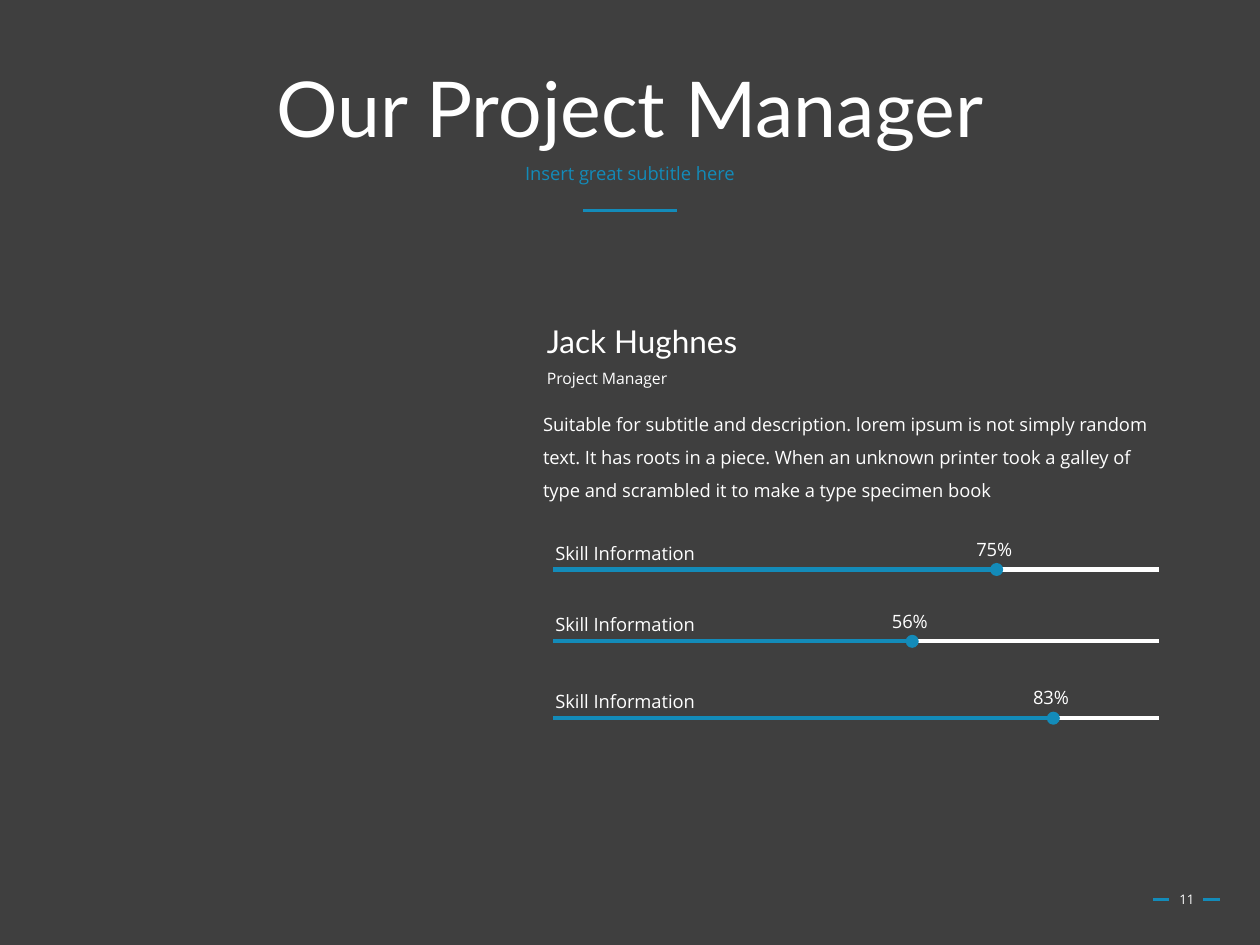
from lxml import etree
from pptx import Presentation
from pptx.dml.color import RGBColor
from pptx.enum.shapes import MSO_CONNECTOR
from pptx.enum.text import MSO_ANCHOR, MSO_AUTO_SIZE, PP_ALIGN
from pptx.oxml.ns import qn
from pptx.util import Inches, Pt

COLORS = {"background": "3F3F3F", "accent": "138BB9", "text": "FFFFFF"}
HEADING_FONT, BODY_FONT = "Lato", "Open Sans"
BAR_LEFT, BAR_RIGHT = 4.39, 9.2
TEXT_LEFT = 4.31
SKILLS = [
    ("Skill Information", "75%", 4.52, 7.91),
    ("Skill Information", "56%", 5.09, 7.24),
    ("Skill Information", "83%", 5.7, 8.36),
]
DESCRIPTION = (
    "Suitable for subtitle and description. lorem ipsum is not simply random text. "
    "It has roots in a piece. When an unknown printer took a galley of type and "
    "scrambled it to make a type specimen book"
)


def color(name):
    """Return the named palette colour."""
    return RGBColor.from_string(COLORS[name])


def format_text(shape, text, size, font=BODY_FONT, fill="text", align=PP_ALIGN.LEFT,
                spacing=1.0, anchor=MSO_ANCHOR.TOP):
    """Put one formatted paragraph into a shape."""
    frame = shape.text_frame
    frame.text = text
    frame.vertical_anchor = anchor
    paragraph = frame.paragraphs[0]
    paragraph.alignment = align
    paragraph.line_spacing = spacing
    run_font = paragraph.runs[0].font
    run_font.name = font
    run_font.size = Pt(size)
    run_font.color.rgb = color(fill)


def add_text(slide, box, text, size, inset=None, wrap=True, grow=False, **style):
    """Add a text box at left, top, width, height in inches."""
    shape = slide.shapes.add_textbox(*map(Inches, box))
    frame = shape.text_frame
    frame.word_wrap = wrap
    if grow:
        frame.auto_size = MSO_AUTO_SIZE.SHAPE_TO_FIT_TEXT
    if inset is not None:
        frame.margin_left = frame.margin_right = Inches(inset)
        frame.margin_top = frame.margin_bottom = Inches(inset)
    format_text(shape, text, size, **style)


def add_rule(slide, left, right, y, width, fill="accent", dot=False):
    """Add a horizontal line, with a round end if wanted."""
    line = slide.shapes.add_connector(
        MSO_CONNECTOR.STRAIGHT, Inches(left), Inches(y), Inches(right), Inches(y))
    line.line.color.rgb = color(fill)
    line.line.width = Pt(width)
    properties = line._element.spPr
    if dot:
        etree.SubElement(properties.find(qn("a:ln")), qn("a:tailEnd"), type="oval")
    etree.SubElement(properties, qn("a:effectLst"))


def add_header(slide):
    """Fill in the title, the subtitle and the rule below them."""
    title = slide.shapes.title
    title.left, title.top, title.width, title.height = map(Inches, (0.69, 0.4, 8.62, 0.98))
    format_text(title, "Our Project Manager", 44, font=HEADING_FONT,
                align=PP_ALIGN.CENTER, spacing=0.9, anchor=MSO_ANCHOR.MIDDLE)
    add_text(slide, (0.69, 1.26, 8.62, 0.4), "Insert great subtitle here", 10.5,
             fill="accent", align=PP_ALIGN.CENTER, spacing=0.9)
    add_rule(slide, 4.63, 5.37, 1.67, 1.75)


def add_profile(slide):
    """Add the manager's name, role and description."""
    add_text(slide, (TEXT_LEFT, 2.56, 1.59, 0.33), "Jack Hughnes", 18, inset=0.03, wrap=False,
             grow=True, font=HEADING_FONT, spacing=0.9, anchor=MSO_ANCHOR.MIDDLE)
    add_text(slide, (TEXT_LEFT, 2.87, 1.02, 0.24), "Project Manager", 9, inset=0.03, wrap=False,
             grow=True, spacing=1.2, anchor=MSO_ANCHOR.MIDDLE)
    add_text(slide, (TEXT_LEFT, 3.19, 4.85, 0.8), DESCRIPTION, 10.5, inset=0,
             grow=True, spacing=1.5)


def add_skill(slide, label, percent, y, end):
    """Add one skill bar with its label and percentage."""
    add_rule(slide, BAR_LEFT, BAR_RIGHT, y, 2.5, fill="text")
    add_rule(slide, BAR_LEFT, end, y, 2.5, dot=True)
    add_text(slide, (TEXT_LEFT, y - 0.27, 1.33, 0.28), label, 10.5, wrap=False, grow=True)
    add_text(slide, (end - 0.26, y - 0.3, 0.49, 0.28), percent, 10.5, wrap=False, grow=True)


def add_page_number(slide, number):
    """Add the page number between two short dashes."""
    for left in (9.15, 9.55):
        add_rule(slide, left, left + 0.13, 7.14, 1.75)
    add_text(slide, (9.2, 6.94, 0.44, 0.4), number, 7.5,
             align=PP_ALIGN.CENTER, anchor=MSO_ANCHOR.MIDDLE)


def main():
    """Build and save the slide."""
    presentation = Presentation()
    presentation.slide_width, presentation.slide_height = Inches(10), Inches(7.5)
    slide = presentation.slides.add_slide(presentation.slide_layouts.get_by_name("Title Only"))
    slide.background.fill.solid()
    slide.background.fill.fore_color.rgb = color("background")
    add_header(slide)
    add_profile(slide)
    for skill in SKILLS:
        add_skill(slide, *skill)
    add_page_number(slide, "11")
    presentation.save("out.pptx")


main()
